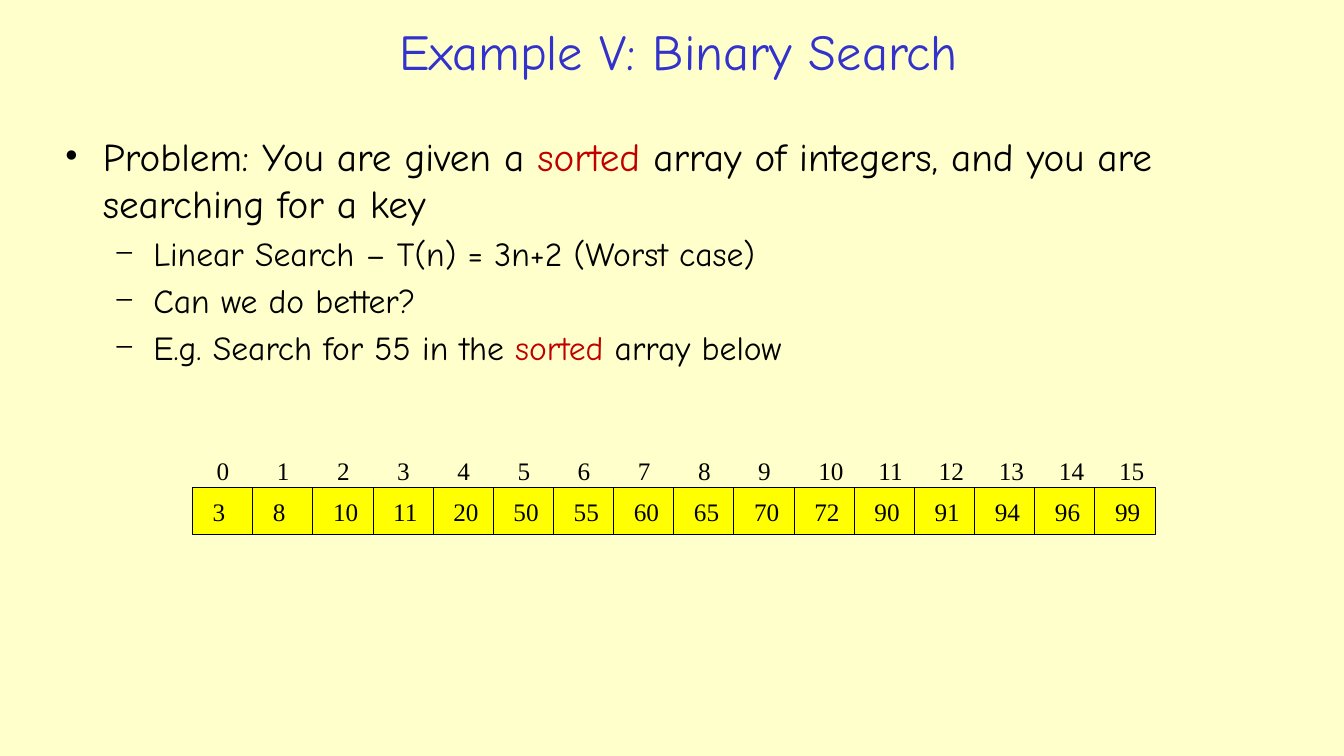
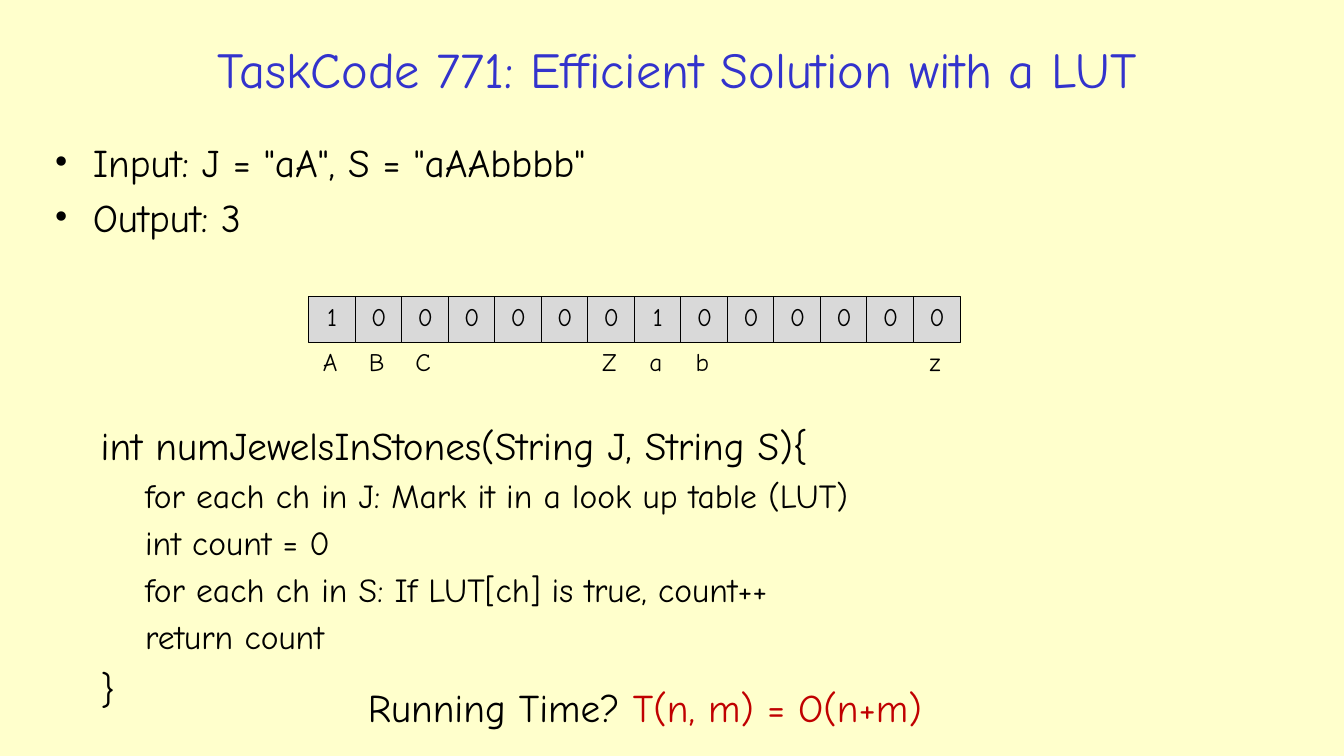
from lxml.etree import SubElement
from pptx import Presentation
from pptx.dml.color import RGBColor
from pptx.enum.shapes import MSO_SHAPE as Shape
from pptx.enum.text import MSO_ANCHOR as Anchor, MSO_AUTO_SIZE as AutoSize, PP_ALIGN as Align
from pptx.oxml.ns import qn
from pptx.util import Inches, Pt

# Shared style
COLOURS = {"page": "FFFFCC", "title": "3333CC", "text": "000000", "accent": "C00000",
           "yellow": "FFFF00", "grey": "D9D9D9"}
HAND, SERIF = "Comic Neue", "Times New Roman"
LEVEL_SIZES = (28, 24)
BULLETS = "•−"
BULLET_INDENTS = (0.38, 0.88)
CODE_INDENTS = (0, 0.44)
HANGING = 0.38

# Content: (level, text), with accented words between bars
SEARCH = {
    "title": "Example V: Binary Search",
    "title_at": (2.25, 0.16, 8.96, 0.67),
    "body": [
        (0, "Problem: You are given a |sorted| array of integers, and you are searching for a key"),
        (1, "Linear Search – T(n) = 3n+2 (Worst case)"),
        (1, "Can we do better?"),
        (1, "E.g. Search for 55 in the |sorted| array below"),
    ],
    "body_at": (0.54, 1.26, 12.31, 2.64),
}
SORTED_ARRAY = [3, 8, 10, 11, 20, 50, 55, 60, 65, 70, 72, 90, 91, 94, 96, 99]

LOOKUP = {
    "title": "TaskCode 771: Efficient Solution with a LUT",
    "title_at": (0.34, 0.26, 12.75, 0.84),
    "body": [(0, 'Input: J = "aA", S = "aAAbbbb"'), (0, "Output: 3")],
    "body_at": (0.44, 1.32, 12.44, 1.35),
}
LUT_KEYS = ["A", "B", "C", "", "", "", "Z", "a", "b", "", "", "", "", "z"]
JEWELS = "aA"
CODE = [
    (0, "int numJewelsInStones(String J, String S){"),
    (1, "for each ch in J: Mark it in a look up table (LUT)"),
    (1, "int count = 0"),
    (1, "for each ch in S: If LUT[ch] is true, count++"),
    (1, "return count"),
    (0, "}"),
]
RUNNING_TIME = [(0, "Running Time? |T(n, m) = O(n+m)")]


def colour(name):
    return RGBColor.from_string(COLOURS[name])


def style(font, size, name, colour_name="text"):
    font.size, font.name = Pt(size), name
    font.color.rgb = colour(colour_name)


def place(shape, at):
    shape.left, shape.top, shape.width, shape.height = map(Inches, at)


def add_bullet(para, level):
    props = para._p.get_or_add_pPr()
    props.set("marL", str(Inches(BULLET_INDENTS[level])))
    props.set("indent", str(-Inches(HANGING)))
    SubElement(props, qn("a:buFont")).set("typeface", SERIF)
    SubElement(props, qn("a:buChar")).set("char", BULLETS[level])


def write_lines(frame, lines, bulleted=False):
    for number, (level, text) in enumerate(lines):
        para = frame.add_paragraph() if number else frame.paragraphs[0]
        para.level = level
        if bulleted:
            add_bullet(para, level)
        else:
            para._p.get_or_add_pPr().set("marL", str(Inches(CODE_INDENTS[level])))
        size = LEVEL_SIZES[level]
        para.space_before = Pt(size * 0.2 if number else 0)
        for position, span_text in enumerate(text.split("|")):
            span = para.add_run()
            span.text = span_text
            style(span.font, size, HAND, "accent" if position % 2 else "text")


def add_page(deck, content):
    page = deck.slides.add_slide(deck.slide_layouts[1])
    title, body = page.shapes.title, page.placeholders[1]
    place(title, content["title_at"])
    title.text_frame.text = content["title"]
    title.text_frame.vertical_anchor = Anchor.MIDDLE
    para = title.text_frame.paragraphs[0]
    para.alignment = Align.CENTER
    style(para.runs[0].font, 36, HAND, "title")
    place(body, content["body_at"])
    write_lines(body.text_frame, content["body"], bulleted=True)
    for shape in (title, body):
        shape.text_frame.auto_size = AutoSize.NONE
    return page


def add_text(page, at, lines, wrap=True):
    frame = page.shapes.add_textbox(*map(Inches, at)).text_frame
    frame.word_wrap = wrap
    write_lines(frame, lines)


def add_row(page, texts, left, top, step, size, font, fill=None, inset=(0, 0.05), align=Align.LEFT):
    """One box per text at equal steps; empty texts leave a gap."""
    for column, text in enumerate(texts):
        if text == "":
            continue
        at = map(Inches, (left + column * step, top, *size))
        if fill:
            box = page.shapes.add_shape(Shape.RECTANGLE, *at)
            box.shadow.inherit = False
            box.fill.solid()
            box.fill.fore_color.rgb = colour(fill)
            box.line.color.rgb = colour("text")
            box.line.width = Pt(0.75)
        else:
            box = page.shapes.add_textbox(*at)
        frame = box.text_frame
        frame.margin_left, frame.margin_top = map(Inches, inset)
        frame.margin_right = frame.margin_bottom = 0
        frame.vertical_anchor = Anchor.TOP
        frame.word_wrap = True
        frame.text = str(text)
        para = frame.paragraphs[0]
        para.alignment = align
        style(para.runs[0].font, 18, font)


def main():
    deck = Presentation()
    deck.slide_width, deck.slide_height = Inches(13.33), Inches(7.5)
    background = deck.slide_master.background.fill
    background.solid()
    background.fore_color.rgb = colour("page")

    # Binary search: indices above the sorted array
    page = add_page(deck, SEARCH)
    left, step = 1.91, 8.95 / (len(SORTED_ARRAY) - 1)
    add_row(page, range(len(SORTED_ARRAY)), left, 4.47, step, (0.6, 0.37), SERIF,
            inset=(0.24, 0.05))
    add_row(page, SORTED_ARRAY, left, 4.84, step, (0.6, 0.46), SERIF,
            fill="yellow", inset=(0.2, 0.08))

    # Lookup table: flags above their letters, then the code
    page = add_page(deck, LOOKUP)
    left, step = 3.06, 6 / (len(LUT_KEYS) - 1)
    flags = [int(key != "" and key in JEWELS) for key in LUT_KEYS]
    add_row(page, flags, left, 2.94, step, (0.47, 0.46), HAND, fill="grey", align=Align.CENTER)
    add_row(page, LUT_KEYS, left - 0.02, 3.39, step, (0.47, 0.4), HAND, align=Align.CENTER)
    add_text(page, (0.9, 4.13, 9.45, 2.54), CODE)
    add_text(page, (3.55, 6.73, 5.95, 0.57), RUNNING_TIME, wrap=False)

    deck.save("out.pptx")


if __name__ == "__main__":
    main()
